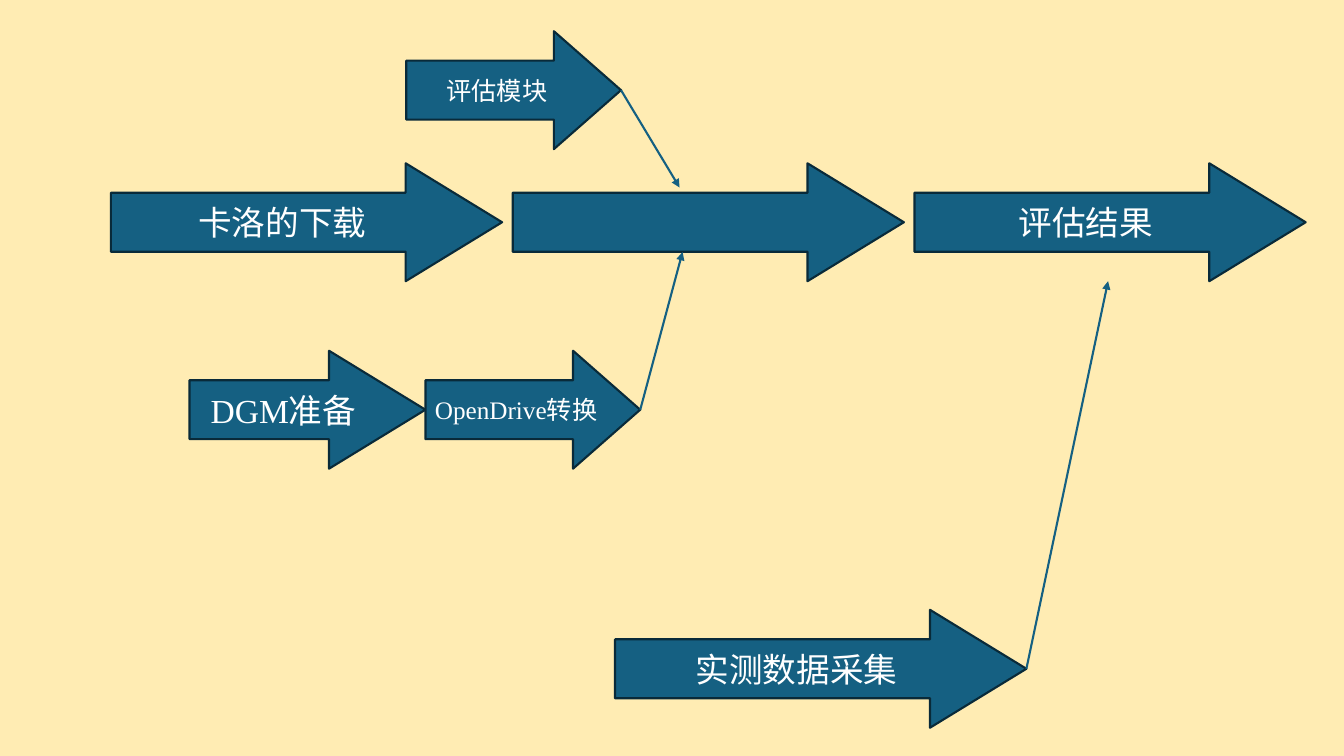
from lxml.etree import SubElement
from pptx import Presentation
from pptx.dml.color import RGBColor
from pptx.enum.shapes import MSO_CONNECTOR, MSO_SHAPE
from pptx.enum.text import MSO_ANCHOR, PP_ALIGN
from pptx.oxml.ns import qn
from pptx.util import Inches, Pt

CREAM = RGBColor(0xFF, 0xEC, 0xB3)
BLUE = RGBColor(0x15, 0x60, 0x82)
NAVY = RGBColor(0x09, 0x2A, 0x39)
WHITE = RGBColor(0xFF, 0xFF, 0xFF)
FONT = "Times New Roman"

ARROW_H = 1.17
MAIN_LEFT, MAIN_TOP, MAIN_W, MAIN_PITCH = 1.1, 1.62, 3.88, 3.985
MAIN_STEPS = ["卡洛的下载", "", "评估结果"]

# text, left, top, width, compact
INPUTS = [
    ("DGM准备", 1.88, 3.48, 2.34, False),
    ("OpenDrive转换", 4.22, 3.48, 2.13, True),
    ("评估模块", 4.03, 0.31, 2.13, True),
    ("实测数据采集", 6.1, 6.05, 4.08, False),
]

# source step, point the line leads to
LINKS = [
    ("实测数据采集", (10.99, 2.79)),
    ("OpenDrive转换", (6.77, 2.5)),
    ("评估模块", (6.74, 1.86)),
]


def write(s, text, size=24, color=WHITE, align=PP_ALIGN.CENTER):
    tf = s.text_frame
    tf.word_wrap = True
    tf.vertical_anchor = MSO_ANCHOR.MIDDLE
    p = tf.paragraphs[0]
    p.alignment = align
    r = p.add_run()
    r.text = text
    r.font.size = Pt(size)
    r.font.name = FONT
    r.font.color.rgb = color


def add_step(slide, text, left, top, width, compact=False):
    s = slide.shapes.add_shape(MSO_SHAPE.RIGHT_ARROW, Inches(left), Inches(top),
                               Inches(width), Inches(ARROW_H))
    s.adjustments[0] = 0.5
    s.adjustments[1] = 0.569 if compact else 0.817
    s.shadow.inherit = False
    s.fill.solid()
    s.fill.fore_color.rgb = BLUE
    s.line.color.rgb = NAVY
    s.line.width = Pt(1.5)
    if compact:
        s.text_frame.margin_left = s.text_frame.margin_right = Inches(0.04)
    if text:
        write(s, text, size=18 if compact else 24)
    return s


def add_link(slide, source, end):
    x, y = map(Inches, end)
    c = slide.shapes.add_connector(MSO_CONNECTOR.STRAIGHT, source.left + source.width,
                                   source.top + source.height // 2, x, y)
    c.begin_connect(source, 3)
    c.line.color.rgb = BLUE
    c.line.width = Pt(1.5)
    SubElement(c.line._get_or_add_ln(), qn("a:tailEnd"), type="triangle")
    SubElement(c._element.spPr, qn("a:effectLst"))


def main():
    prs = Presentation()
    prs.slide_width, prs.slide_height = Inches(13.33), Inches(7.5)
    slide = prs.slides.add_slide(prs.slide_layouts[6])
    slide.background.fill.solid()
    slide.background.fill.fore_color.rgb = CREAM

    for i, text in enumerate(MAIN_STEPS):
        add_step(slide, text, MAIN_LEFT + i * MAIN_PITCH, MAIN_TOP, MAIN_W)
    steps = {text: add_step(slide, text, *place) for text, *place in INPUTS}
    for source, end in LINKS:
        add_link(slide, steps[source], end)
    prs.save("out.pptx")


if __name__ == "__main__":
    main()
